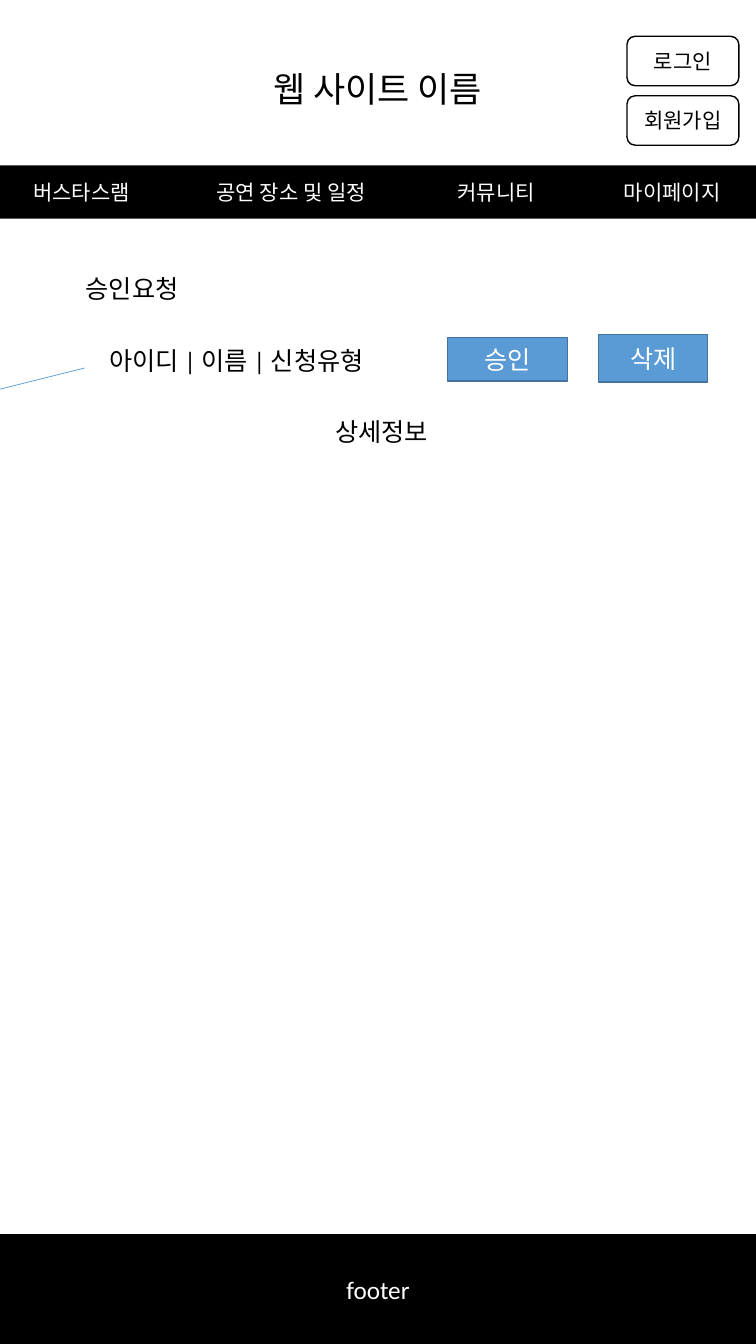
from lxml.etree import SubElement
from pptx import Presentation
from pptx.dml.color import RGBColor
from pptx.enum.shapes import MSO_CONNECTOR, MSO_SHAPE
from pptx.enum.text import MSO_ANCHOR, PP_ALIGN
from pptx.oxml.ns import qn
from pptx.util import Inches, Pt

COLORS = {"black": "000000", "white": "FFFFFF", "blue": "5B9BD5", "edge": "43739E"}
FONT = "Calibri"


def color(name):
    return RGBColor.from_string(COLORS[name])


class Page:
    """Holds the slide and draws its kinds of element."""

    def __init__(self, slide):
        self.slide = slide

    def set_text(self, shape, text, size, ink):
        frame = shape.text_frame
        frame.word_wrap = True
        frame.text = text
        para = frame.paragraphs[0]
        para.alignment = PP_ALIGN.CENTER
        for run in para.runs:
            run.font.size = Pt(size)
            run.font.name = FONT
            run.font.color.rgb = color(ink)

    def label(self, box, text, size=18):
        shape = self.slide.shapes.add_textbox(*map(Inches, box))
        self.set_text(shape, text, size, "black")

    def block(self, box, text, size=18, fill="black", edge=None, ink="white",
              kind=MSO_SHAPE.RECTANGLE):
        shape = self.slide.shapes.add_shape(kind, *map(Inches, box))
        shape.shadow.inherit = False
        shape.fill.solid()
        shape.fill.fore_color.rgb = color(fill)
        if edge:
            shape.line.color.rgb = color(edge)
            shape.line.width = Pt(1)
        else:
            shape.line.fill.background()
        self.set_text(shape, text, size, ink)
        shape.text_frame.vertical_anchor = MSO_ANCHOR.MIDDLE
        return shape

    def menu(self, box, items, start, stops):
        """Bar whose items begin at tab stops, measured from the first item."""
        bar = self.block(box, "\t".join(items), 15)
        bar.text_frame.margin_left = Inches(start)
        bar.text_frame.margin_right = 0
        para = bar.text_frame.paragraphs[0]
        para.alignment = PP_ALIGN.LEFT
        tabs = SubElement(para._p.get_or_add_pPr(), qn("a:tabLst"))
        for stop in stops:
            SubElement(tabs, qn("a:tab"), pos=str(Inches(stop)), algn="l")

    def line(self, start, end):
        link = self.slide.shapes.add_connector(
            MSO_CONNECTOR.STRAIGHT, *map(Inches, start + end))
        link.line.color.rgb = color("blue")
        link.line.width = Pt(0.5)
        SubElement(link._element.spPr, qn("a:effectLst"))


def main():
    deck = Presentation()
    deck.slide_width, deck.slide_height = Inches(7.5), Inches(13.33)
    page = Page(deck.slides.add_slide(deck.slide_layouts[6]))

    page.menu((0, 1.64, 7.5, 0.53),
              ["버스타스램", "공연 장소 및 일정", "커뮤니티", "마이페이지"],
              0.33, [1.82, 4.21, 5.86])
    for row, text in enumerate(["로그인", "회원가입"]):
        page.block((6.22, 0.36 + row * 0.59, 1.11, 0.49), text, 15,
                   "white", "black", "black", MSO_SHAPE.ROUNDED_RECTANGLE)
    page.block((0, 12.24, 7.5, 1.09), "footer")
    page.label((1.87, 0.62, 3.76, 0.52), "웹 사이트 이름", 25)

    page.line((0.84, 3.65), (0, 3.86))
    page.label((0.36, 2.66, 1.9, 0.4), "승인요청")
    page.label((0.55, 3.38, 3.59, 0.4), "아이디 | 이름 | 신청유형")
    page.block((5.94, 3.32, 1.08, 0.47), "삭제", fill="blue", edge="edge")
    page.block((4.44, 3.35, 1.19, 0.43), "승인", fill="blue", edge="edge")
    page.label((0.55, 4.08, 6.47, 0.4), "상세정보")

    deck.save("out.pptx")


if __name__ == "__main__":
    main()
